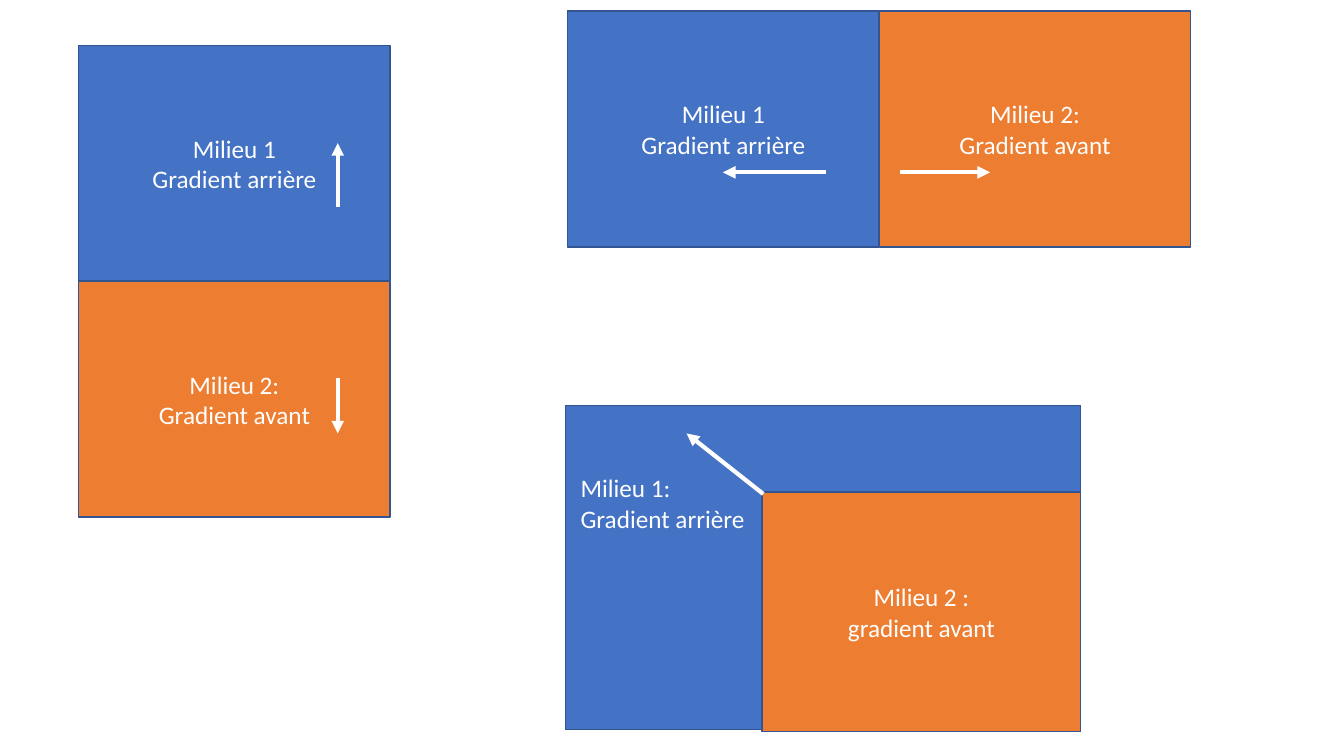
from collections import namedtuple

from lxml.etree import SubElement
from pptx import Presentation
from pptx.dml.color import RGBColor
from pptx.enum.shapes import MSO_CONNECTOR as Connector, MSO_SHAPE as Shape
from pptx.enum.text import MSO_ANCHOR as Anchor, MSO_AUTO_SIZE as AutoSize, PP_ALIGN as Align
from pptx.oxml.ns import qn
from pptx.util import Pt

EMU_PER_PX = 9144
Box = namedtuple("Box", "left top width height")
Theme = namedtuple("Theme", "rear front outline light font text_size outline_width arrow_width")
THEME = Theme(
    rear=RGBColor.from_string("4472C4"),
    front=RGBColor.from_string("ED7D31"),
    outline=RGBColor.from_string("325491"),
    light=RGBColor.from_string("FFFFFF"),
    font="Calibri",
    text_size=Pt(18),
    outline_width=Pt(1),
    arrow_width=Pt(3),
)
REAR_LABEL = ["Milieu 1\nGradient arrière"]
FRONT_LABEL = ["Milieu 2:", "Gradient avant"]


def px(*lengths):
    return [length * EMU_PER_PX for length in lengths]


def write_label(frame, lines, align):
    frame.word_wrap = True
    for index, line in enumerate(lines):
        para = frame.paragraphs[0] if index == 0 else frame.add_paragraph()
        para.text = line
        para.alignment = align
        para.font.name = THEME.font
        para.font.size = THEME.text_size
        para.font.color.rgb = THEME.light


def add_medium(page, box, color, lines=()):
    medium = page.shapes.add_shape(Shape.RECTANGLE, *px(*box))
    medium.shadow.inherit = False
    medium.fill.solid()
    medium.fill.fore_color.rgb = color
    medium.line.color.rgb = THEME.outline
    medium.line.width = THEME.outline_width
    medium.text_frame.vertical_anchor = Anchor.MIDDLE
    write_label(medium.text_frame, lines, Align.CENTER)


def add_arrow(page, box, start, end):
    ends = [box.left + start[0], box.top + start[1], box.left + end[0], box.top + end[1]]
    arrow = page.shapes.add_connector(Connector.STRAIGHT, *px(*ends))
    arrow.line.color.rgb = THEME.light
    arrow.line.width = THEME.arrow_width
    SubElement(arrow.line._get_or_add_ln(), qn("a:tailEnd"), type="triangle")
    SubElement(arrow._element.spPr, qn("a:effectLst"))


def add_stacked_media(page, box):
    half = box.height // 2
    rear = box._replace(height=half)
    front = rear._replace(top=box.top + half)
    add_medium(page, rear, THEME.rear, REAR_LABEL)
    add_medium(page, front, THEME.front, FRONT_LABEL)
    add_arrow(page, rear, (257, 160), (257, 97))
    add_arrow(page, front, (257, 96), (257, 151))


def add_side_by_side_media(page, box):
    half = box.width // 2
    rear = box._replace(width=half)
    front = rear._replace(left=box.left + half)
    add_medium(page, rear, THEME.rear, REAR_LABEL)
    add_medium(page, front, THEME.front, FRONT_LABEL)
    add_arrow(page, rear, (256, 160), (154, 160))
    add_arrow(page, front, (21, 160), (110, 160))


def add_corner_media(page, box):
    front = Box(box.left + 195, box.top + 86, box.width - 195, 238)
    add_medium(page, box, THEME.rear)
    add_medium(page, front, THEME.front, ["Milieu 2 :", "gradient avant"])
    add_arrow(page, front, (1, 2), (-75, -58))
    label = page.shapes.add_textbox(*px(box.left + 5, box.top + 62, 191, 71))
    write_label(label.text_frame, ["Milieu 1:", "Gradient arrière"], Align.LEFT)
    label.text_frame.auto_size = AutoSize.SHAPE_TO_FIT_TEXT


def main():
    deck = Presentation()
    deck.slide_width, deck.slide_height = px(1333, 750)
    page = deck.slides.add_slide(deck.slide_layouts[6])
    add_stacked_media(page, Box(78, 45, 309, 469))
    add_side_by_side_media(page, Box(563, 11, 618, 234))
    add_corner_media(page, Box(561, 402, 511, 322))
    deck.save("out.pptx")


if __name__ == "__main__":
    main()
